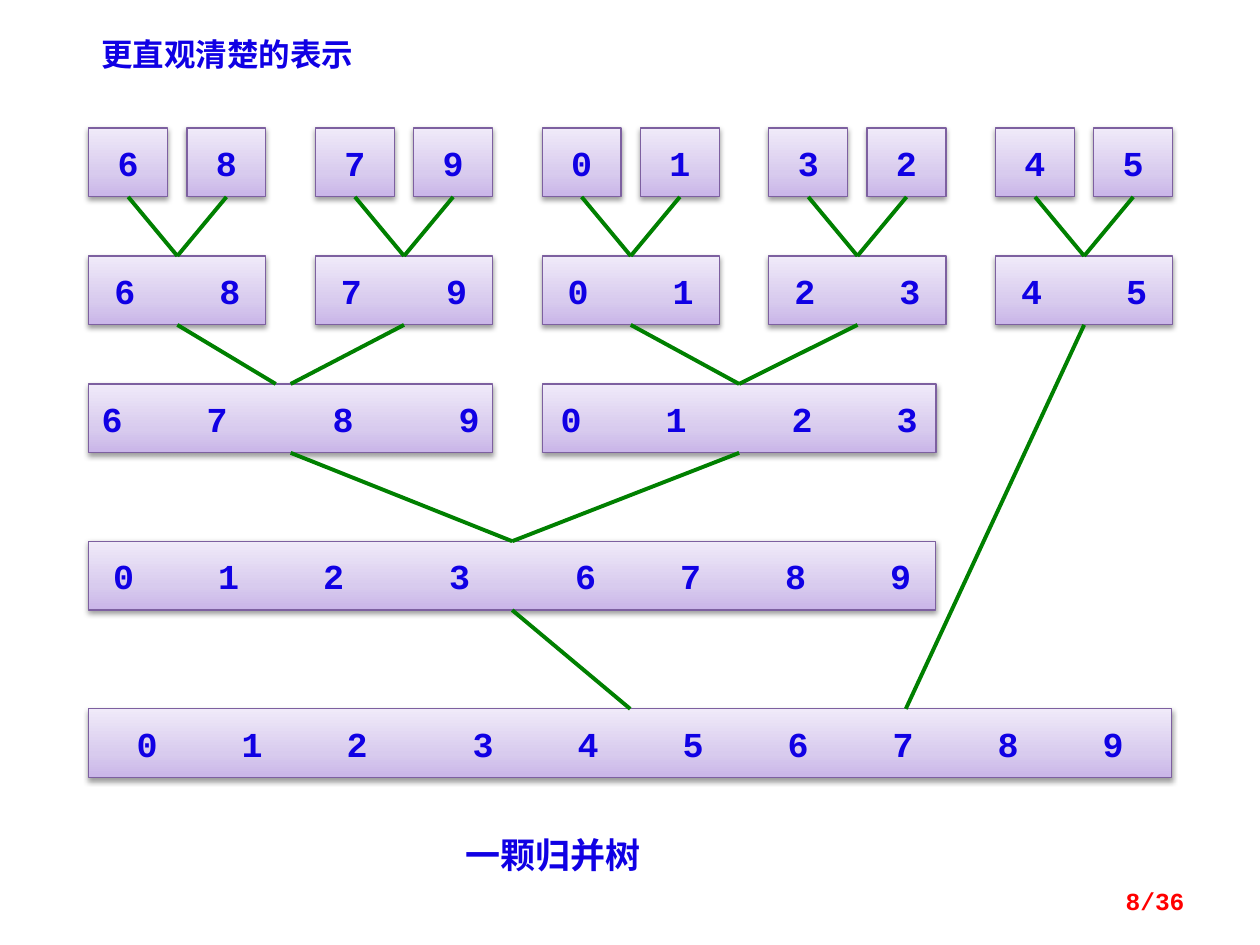
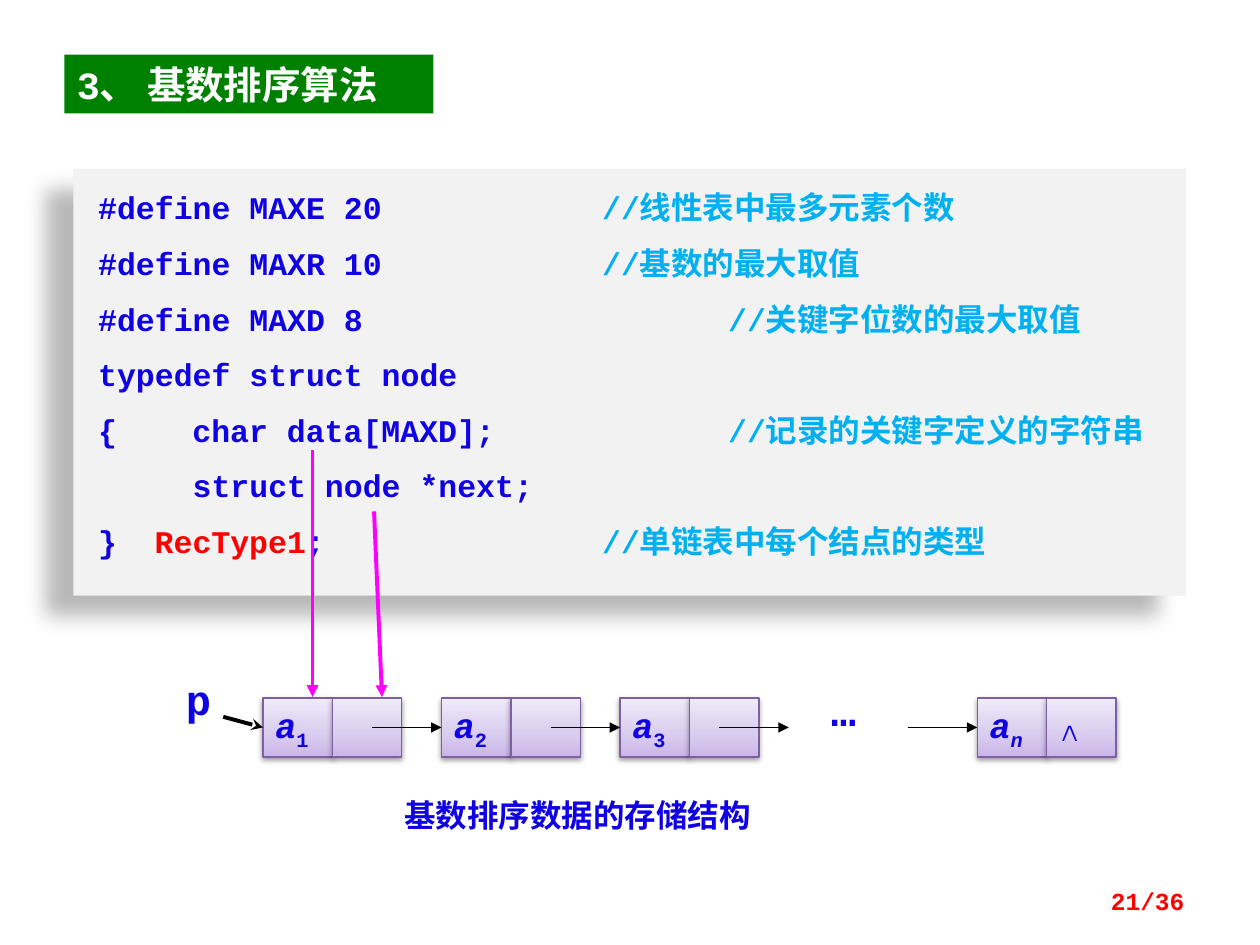
from itertools import accumulate

from pptx import Presentation
from pptx.dml.color import RGBColor
from pptx.enum.shapes import MSO_CONNECTOR, MSO_SHAPE
from pptx.enum.text import MSO_ANCHOR, PP_ALIGN
from pptx.oxml import parse_xml
from pptx.oxml.ns import nsdecls, qn
from pptx.oxml.xmlchemy import OxmlElement
from pptx.util import Cm, Pt

COLORS = {
    "ink": "1000E4",
    "comment": "00B0F0",
    "accent": "FF0000",
    "tree": "008000",
    "pointer": "FF00FF",
    "black": "000000",
    "white": "FFFFFF",
    "panel": "F2F2F2",
    "border": "7D60A0",
}
BOX_GRADIENT = ((0, "C9B5E8"), (35, "D8CBEE"), (100, "F0EAF9"))
CODE_FONT = "Courier New"
CHINESE_FONT = "Noto Sans CJK JP"
DIGIT_SIZE = 20
DIGIT_ADVANCE = Pt(12)
TOP, LEFT, BOTTOM = 0, 1, 2

TREE_LEFT = 1.79
GROUP_PITCH = 4.57
LEAF_PITCH = 1.98
LEAF_ROW = ("68", "79", "01", "32", "45")
NODE_PITCH = 3.6
CELL_WIDTH = 1.4
CELL_TOP = 14.07
CELL_HEIGHT = 1.19
LINK_Y = CELL_TOP + CELL_HEIGHT / 2

CODE_LINES = (
    ((("#define MAXE 20\t", "ink"), ("//线性表中最多元素个数", "comment")), (10.16,)),
    ((("#define MAXR 10\t", "ink"), ("//基数的最大取值", "comment")), (10.16,)),
    ((("#define MAXD 8\t", "ink"), ("//关键字位数的最大取值", "comment")), (12.7,)),
    ((("typedef struct node", "ink"),), ()),
    ((("{\tchar data[MAXD];\t", "ink"), ("//记录的关键字定义的字符串", "comment")), (1.9, 12.7)),
    ((("     struct node *next;", "ink"),), ()),
    ((("}\t", "ink"), ("RecType1", "accent"), (";\t", "ink"),
      ("//单链表中每个结点的类型", "comment")), (1.14, 10.16)),
)


def rgb(name):
    """Look up a named colour."""
    return RGBColor.from_string(COLORS[name])


def style_run(run, size, color="ink", font=CODE_FONT, italic=False, subscript=False):
    """Format one bold run."""
    run.font.name = font
    run.font.size = Pt(size)
    run.font.bold = True
    run.font.italic = italic
    run.font.color.rgb = rgb(color)
    if subscript:
        run._r.get_or_add_rPr().set("baseline", "-25000")


def set_tabs(paragraph, positions):
    """Give a paragraph left tab stops at the given lengths."""
    tab_list = OxmlElement("a:tabLst")
    for position in positions:
        tab = OxmlElement("a:tab")
        tab.set("pos", str(int(position)))
        tab.set("algn", "l")
        tab_list.append(tab)
    paragraph._p.get_or_add_pPr().append(tab_list)


def set_text(shape, text, size, anchor=MSO_ANCHOR.TOP, align=PP_ALIGN.LEFT, wrap=True, **style):
    """Write a single-style paragraph into a shape."""
    frame = shape.text_frame
    frame.text = text
    frame.word_wrap = wrap
    frame.vertical_anchor = anchor
    paragraph = frame.paragraphs[0]
    paragraph.alignment = align
    style_run(paragraph.runs[0], size, **style)
    return paragraph


def add_label(slide, left, top, width, height, text, size, **options):
    """Add a text box with one line."""
    label = slide.shapes.add_textbox(Cm(left), Cm(top), Cm(width), Cm(height))
    set_text(label, text, size, **options)


def add_page_number(slide, text):
    """Add the red page count at the lower right."""
    add_label(slide, 18.21, 17.65, 5.92, 1.02, text, 14, color="accent",
              anchor=MSO_ANCHOR.MIDDLE, align=PP_ALIGN.RIGHT)


def add_rectangle(slide, left, top, width, height, fill=None):
    """Add a borderless rectangle without shadow."""
    shape = slide.shapes.add_shape(MSO_SHAPE.RECTANGLE, Cm(left), Cm(top), Cm(width), Cm(height))
    shape.shadow.inherit = False
    shape.line.fill.background()
    if fill:
        shape.fill.solid()
        shape.fill.fore_color.rgb = rgb(fill)
    return shape


def add_shadow(shape, opacity, blur, distance, angle):
    """Give a shape a soft black outer shadow."""
    effects = shape._element.spPr.find(qn("a:effectLst"))
    effects.append(parse_xml(
        f'<a:outerShdw {nsdecls("a")} blurRad="{Pt(blur)}" dist="{Pt(distance)}" '
        f'dir="{angle * 60000}" rotWithShape="0"><a:srgbClr val="{COLORS["black"]}">'
        f'<a:alpha val="{opacity * 1000}"/></a:srgbClr></a:outerShdw>'))


def add_box(slide, left, top, width, height):
    """Add a lilac gradient box."""
    box = add_rectangle(slide, left, top, width, height)
    box.fill.gradient()
    box.fill.gradient_angle = 90
    stops = "".join(
        f'<a:gs pos="{position * 1000}"><a:srgbClr val="{color}"/></a:gs>'
        for position, color in BOX_GRADIENT)
    stop_list = box._element.spPr.find(".//" + qn("a:gsLst"))
    stop_list.getparent().replace(
        stop_list, parse_xml(f'<a:gsLst {nsdecls("a")}>{stops}</a:gsLst>'))
    box.line.color.rgb = rgb("border")
    box.line.width = Pt(0.75)
    add_shadow(box, 38, 3.1, 1.6, 90)
    return box


def add_digit_box(slide, left, top, width, digits, strides=()):
    """Add a box whose digits are centred as a row, strides counted in characters."""
    box = add_box(slide, left, top, width, 1.39)
    columns = list(accumulate(strides))
    row_width = DIGIT_ADVANCE * (sum(strides) + 1)
    box.text_frame.margin_left = int((box.width - row_width) / 2)
    box.text_frame.margin_right = 0
    paragraph = set_text(box, "\t".join(digits), DIGIT_SIZE, anchor=MSO_ANCHOR.MIDDLE)
    if columns:
        set_tabs(paragraph, [DIGIT_ADVANCE * column for column in columns])
    return box


def add_line(slide, start, end, color, width, head=None):
    """Add a straight line, with an arrowhead at its end if named."""
    line = slide.shapes.add_connector(
        MSO_CONNECTOR.STRAIGHT, *(Cm(value) for value in (*start, *end)))
    line.line.color.rgb = rgb(color)
    line.line.width = Pt(width)
    if head:
        tail_end = OxmlElement("a:tailEnd")
        tail_end.set("type", head)
        line.line._get_or_add_ln().append(tail_end)
    line._element.spPr.append(OxmlElement("a:effectLst"))
    return line


def merge(slide, source, target, end=None):
    """Draw a merge line from a box's bottom to the target's top or a given point."""
    line = add_line(slide, (0, 0), end or (0, 0), "tree", 2.25)
    line.begin_connect(source, BOTTOM)
    if end is None:
        line.end_connect(target, TOP)


def build_merge_tree(slide):
    """Build the merge tree slide."""
    pairs = []
    for index, digits in enumerate(LEAF_ROW):
        left = TREE_LEFT + index * GROUP_PITCH
        pair = add_digit_box(slide, left, 5.16, 3.57, sorted(digits), (5,))
        for position, digit in enumerate(digits):
            leaf = add_digit_box(slide, left + position * LEAF_PITCH, 2.58, 1.59, digit)
            merge(slide, leaf, pair)
        pairs.append(pair)

    high_four = add_digit_box(slide, TREE_LEFT, 7.74, 8.14, "6789", (5, 6, 6))
    low_four = add_digit_box(slide, TREE_LEFT + 2 * GROUP_PITCH, 7.74, 7.94, "0123", (5, 6, 5))
    eight = add_digit_box(slide, TREE_LEFT, 10.91, 17.07, "01236789", (5, 5, 6, 6, 5, 5, 5))
    sorted_all = add_digit_box(slide, TREE_LEFT, 14.29, 21.83, "0123456789",
                               (5, 5, 6, 5, 5, 5, 5, 5, 5))

    merge(slide, pairs[0], high_four, (5.56, 7.74))
    for source, target in ((pairs[1], high_four), (pairs[2], low_four), (pairs[3], low_four),
                           (high_four, eight), (low_four, eight), (eight, sorted_all)):
        merge(slide, source, target)
    merge(slide, pairs[4], sorted_all, (18.26, 14.29))

    add_label(slide, 1.79, 0.58, 6.35, 1.02, "更直观清楚的表示", 18)
    add_label(slide, 9.13, 16.67, 6.55, 1.11, "一颗归并树", 20, font=CHINESE_FONT)
    add_page_number(slide, "8/36")


def add_code_panel(slide):
    """Add the grey panel with the coloured type definition."""
    panel = add_rectangle(slide, 1.48, 3.4, 22.43, 8.61, "panel")
    add_shadow(panel, 28, 11.8, 19.7, 141)
    frame = panel.text_frame
    frame.word_wrap = True
    frame.vertical_anchor = MSO_ANCHOR.TOP
    frame.margin_left = Cm(0.5)
    frame.margin_top = frame.margin_bottom = Cm(0.4)
    for index, (pieces, stops) in enumerate(CODE_LINES):
        paragraph = frame.add_paragraph() if index else frame.paragraphs[0]
        paragraph.alignment = PP_ALIGN.JUSTIFY
        if index:
            paragraph.space_before = Pt(10.2)
        if stops:
            set_tabs(paragraph, [Cm(stop) for stop in stops])
        for text, color in pieces:
            run = paragraph.add_run()
            run.text = text
            style_run(run, 18, color)


def add_node(slide, slot, name, subscript, next_mark=""):
    """Add a list node of a data cell and a pointer cell, returning the data cell."""
    left = 5.3 + slot * NODE_PITCH
    data, pointer = (add_box(slide, left + column * CELL_WIDTH, CELL_TOP, CELL_WIDTH, CELL_HEIGHT)
                     for column in range(2))
    paragraph = set_text(data, name, 20, MSO_ANCHOR.MIDDLE, wrap=False, italic=True)
    index_run = paragraph.add_run()
    index_run.text = subscript
    style_run(index_run, 20, italic=subscript.isalpha(), subscript=True)
    if next_mark:
        set_text(pointer, next_mark, 20, MSO_ANCHOR.MIDDLE, wrap=False)
    return data


def build_radix_storage(slide):
    """Build the radix sort storage slide."""
    add_code_panel(slide)

    nodes = [add_node(slide, slot, "a", subscript, mark)
             for slot, subscript, mark in ((0, "1", ""), (1, "2", ""), (2, "3", ""), (4, "n", "∧"))]
    head_arrow = add_line(slide, (4.5, 14.45), (5.3, LINK_Y), "black", 2.25, "stealth")
    head_arrow.end_connect(nodes[0], LEFT)
    for node in nodes[1:]:
        end = node.left.cm
        arrow = add_line(slide, (end - CELL_WIDTH, LINK_Y), (end, LINK_Y),
                         "black", 0.75, "triangle")
        arrow.end_connect(node, LEFT)
    add_line(slide, (14.5, LINK_Y), (15.9, LINK_Y), "black", 0.75, "triangle")

    add_label(slide, 3.5, 13.46, 1, 1.27, "p", 24)
    add_label(slide, 16.5, 13.67, 1.2, 1.27, "…", 24)
    add_label(slide, 7.9, 15.93, 10.8, 1.02, "基数排序数据的存储结构", 18)

    for start, end in (((6.3, 9.07), (6.3, 14.05)), ((7.54, 10.31), (7.7, 14.05))):
        add_line(slide, start, end, "pointer", 2.25, "triangle")

    title = add_rectangle(slide, 1.3, 1.1, 7.44, 1.19, "tree")
    set_text(title, "3、 基数排序算法", 22, color="white")
    add_page_number(slide, "21/36")


def main():
    """Create and save the presentation."""
    presentation = Presentation()
    presentation.slide_width = Cm(25.4)
    presentation.slide_height = Cm(19.05)
    for build in (build_merge_tree, build_radix_storage):
        build(presentation.slides.add_slide(presentation.slide_layouts[6]))
    presentation.save("out.pptx")


if __name__ == "__main__":
    main()
